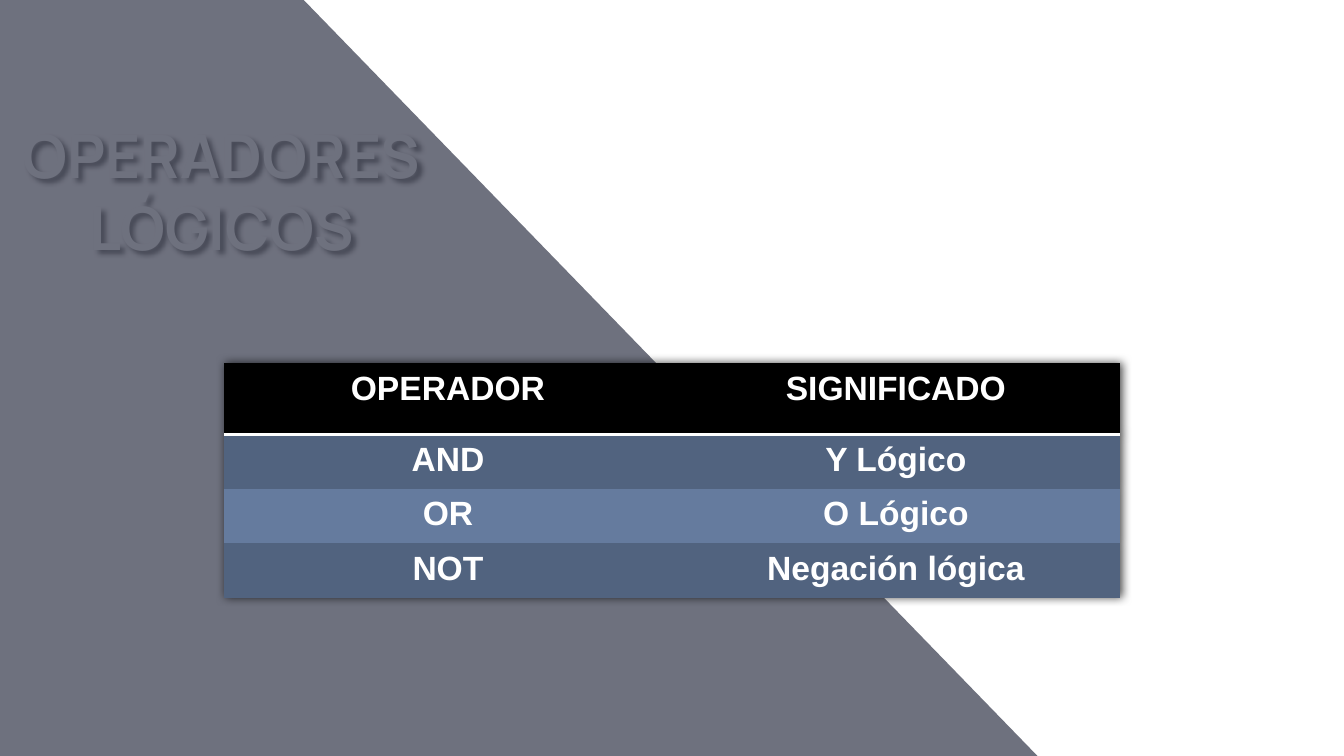
from lxml import etree
from pptx import Presentation
from pptx.dml.color import RGBColor
from pptx.enum import text
from pptx.oxml import parse_xml
from pptx.oxml.ns import nsdecls, qn
from pptx.util import Pt

HEADING = "OPERADORES LÓGICOS"
OPERATORS = [
    ("OPERADOR", "SIGNIFICADO"),
    ("AND", "Y Lógico"),
    ("OR", "O Lógico"),
    ("NOT", "Negación lógica"),
]
COLORS = {
    "wedge": "212539",
    "white": "FFFFFF",
    "header": "000000",
    "odd": "51637F",
    "even": "657B9E",
    "shadow": "000000",
}
SLIDE_W, SLIDE_H = 720, 405
WEDGE = [(162.7, 0), (0, 0), (0, SLIDE_H), (555.8, SLIDE_H)]
HEADING_BOX = (-49.7, 87.1, 337, 60.5)
TABLE_LEFT, TABLE_TOP, TABLE_W = 120, 194.6, 480
HEADER_H, ROW_H = 38, 29.2
NO_STYLE = "{2D5ABB26-0587-4C30-8999-92F81FD0307C}"


def rgb(name):
    return RGBColor.from_string(COLORS[name])


def style(paragraph, font_name, size):
    paragraph.alignment = text.PP_ALIGN.CENTER
    for run in paragraph.runs:
        run.font.name = font_name
        run.font.size = Pt(size)
        run.font.bold = True
        run.font.color.rgb = rgb("white")


def add_shadow(properties, blur, distance, angle, alpha):
    properties.append(parse_xml(
        f'<a:effectLst {nsdecls("a")}><a:outerShdw blurRad="{Pt(blur)}" '
        f'dist="{Pt(distance)}" dir="{angle * 60000}" algn="ctr" rotWithShape="0">'
        f'<a:srgbClr val="{COLORS["shadow"]}"><a:alpha val="{alpha * 1000}"/>'
        '</a:srgbClr></a:outerShdw></a:effectLst>'))


def add_wedge(slide):
    start, *rest = [(Pt(x), Pt(y)) for x, y in WEDGE]
    builder = slide.shapes.build_freeform(*start)
    builder.add_line_segments(rest, close=True)
    wedge = builder.convert_to_shape()
    wedge.shadow.inherit = False
    wedge.line.fill.background()
    wedge.fill.solid()
    wedge.fill.fore_color.rgb = rgb("wedge")
    color = wedge.fill._xPr.find(qn("a:solidFill"))[0]
    etree.SubElement(color, qn("a:alpha"), val="65000")


def add_heading(slide):
    heading = slide.shapes.title
    heading.left, heading.top, heading.width, heading.height = map(Pt, HEADING_BOX)
    frame = heading.text_frame
    frame.text = HEADING
    frame.word_wrap = True
    frame.auto_size = text.MSO_AUTO_SIZE.NONE
    frame.vertical_anchor = text.MSO_ANCHOR.BOTTOM
    frame.margin_left = frame.margin_right = Pt(7.2)
    frame.margin_top = frame.margin_bottom = Pt(7.2)
    style(frame.paragraphs[0], "Manrope", 32)
    add_shadow(heading.element.spPr, 3, 3, 45, 45)


def add_bottom_border(cell):
    border = parse_xml(
        f'<a:lnB {nsdecls("a")} w="{Pt(2)}"><a:solidFill>'
        f'<a:srgbClr val="{COLORS["white"]}"/></a:solidFill></a:lnB>')
    cell._tc.get_or_add_tcPr().insert(0, border)


def add_operators(slide):
    heights = [HEADER_H] + [ROW_H] * (len(OPERATORS) - 1)
    columns = len(OPERATORS[0])
    frame = slide.shapes.add_table(
        len(OPERATORS), columns, Pt(TABLE_LEFT), Pt(TABLE_TOP),
        Pt(TABLE_W), Pt(sum(heights)))
    table = frame.table
    table.first_row = table.horz_banding = False
    properties = table._tbl.tblPr
    properties.find(qn("a:tableStyleId")).text = NO_STYLE
    add_shadow(properties, 5, 1, 0, 70)
    properties.insert(0, properties[-1])
    for r, (row, height) in enumerate(zip(OPERATORS, heights)):
        table.rows[r].height = Pt(height)
        fill = "header" if r == 0 else "odd" if r % 2 else "even"
        for c, label in enumerate(row):
            cell = table.cell(r, c)
            cell.text_frame.text = label
            style(cell.text_frame.paragraphs[0], "Arial", 18)
            cell.fill.solid()
            cell.fill.fore_color.rgb = rgb(fill)
            if r == 0:
                add_bottom_border(cell)


def main():
    deck = Presentation()
    deck.slide_width, deck.slide_height = Pt(SLIDE_W), Pt(SLIDE_H)
    slide = deck.slides.add_slide(deck.slide_layouts[5])
    slide.background.fill.solid()
    slide.background.fill.fore_color.rgb = rgb("white")
    add_wedge(slide)
    add_heading(slide)
    add_operators(slide)
    deck.save("out.pptx")


if __name__ == "__main__":
    main()
